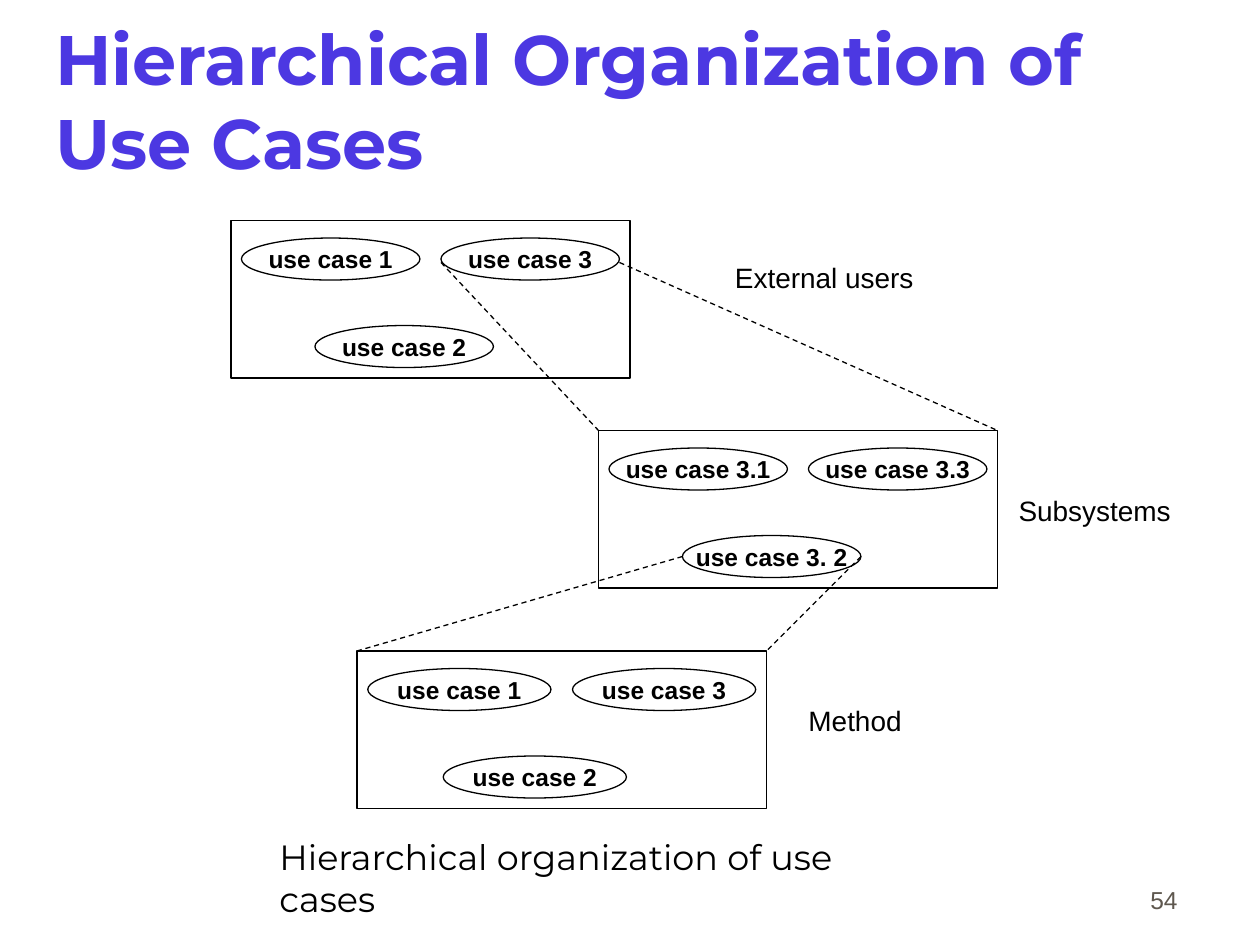
from lxml import etree
from pptx import Presentation
from pptx.dml.color import RGBColor
from pptx.enum.dml import MSO_LINE
from pptx.enum.shapes import MSO_CONNECTOR, MSO_SHAPE
from pptx.enum.text import MSO_ANCHOR, PP_ALIGN
from pptx.oxml.ns import qn
from pptx.util import Pt

RECT, OVAL = MSO_SHAPE.RECTANGLE, MSO_SHAPE.OVAL
STRAIGHT, DASH = MSO_CONNECTOR.STRAIGHT, MSO_LINE.DASH
LEFT, CENTER, RIGHT = PP_ALIGN.LEFT, PP_ALIGN.CENTER, PP_ALIGN.RIGHT
TOP, MIDDLE, BOTTOM = MSO_ANCHOR.TOP, MSO_ANCHOR.MIDDLE, MSO_ANCHOR.BOTTOM

BLACK, VIOLET, GREY = "000000", "4C38E2", "5E574E"
BODY_FONT, HEAD_FONT = "Arial", "Montserrat"
LINE_WIDTH = 0.75

# Ovals in a level box: x offset, y offset, width, height
LEVEL_WIDTH = 228
OVAL_OFFSETS = [(6, 10), (48, 60), (120, 10)]
OVAL_WIDTH, OVAL_HEIGHT = 102, 24


def rgb(value):
    return RGBColor.from_string(value)


def write(holder, text, size, font=BODY_FONT, color=BLACK, bold=False,
          align=LEFT, anchor=TOP, insets=(0, 0), wrap=False):
    frame = holder.text_frame
    frame.word_wrap = wrap
    frame.vertical_anchor = anchor
    frame.margin_left = frame.margin_right = Pt(insets[0])
    frame.margin_top = frame.margin_bottom = Pt(insets[1])
    paragraph = frame.paragraphs[0]
    paragraph.alignment = align
    paragraph.space_before = Pt(0)
    run = paragraph.add_run()
    run.text = text
    run.font.size = Pt(size)
    run.font.name = font
    run.font.bold = bold
    run.font.color.rgb = rgb(color)


def add_title(slide, box, text):
    title = slide.shapes.title
    title.left, title.top, title.width, title.height = map(Pt, box)
    write(title, text, 40, HEAD_FONT, VIOLET, bold=True, anchor=MIDDLE,
          insets=(1.44, 3.6), wrap=True)


def add_label(slide, box, text, size=16, **style):
    write(slide.shapes.add_textbox(*map(Pt, box)), text, size, **style)


def add_outline(group, kind, box):
    outline = group.shapes.add_shape(kind, *map(Pt, box))
    outline.shadow.inherit = False
    outline.fill.background()
    outline.line.color.rgb = rgb(BLACK)
    outline.line.width = Pt(LINE_WIDTH)
    return outline


def add_level(slide, box, use_cases):
    """Draw one level; return its frame and its ovals."""
    left, top, width, _ = box
    stretch = width / LEVEL_WIDTH
    group = slide.shapes.add_group_shape()
    frame = add_outline(group, RECT, box)
    ovals = []
    for (dx, dy), name in zip(OVAL_OFFSETS, use_cases):
        oval = add_outline(group, OVAL, (left + dx * stretch, top + dy,
                                         OVAL_WIDTH * stretch, OVAL_HEIGHT))
        write(oval, name, 14, bold=True, align=CENTER, anchor=MIDDLE)
        ovals.append(oval)
    return frame, ovals


def add_expansion(slide, oval, frame, drop=0):
    """Dashed lines from the sides of a use case to the level that details it."""
    middle = oval.top + oval.height // 2 + Pt(drop)
    for start, end in ((oval.left, frame.left),
                       (oval.left + oval.width, frame.left + frame.width)):
        dashed = slide.shapes.add_connector(STRAIGHT, start, middle, end, frame.top)
        dashed.line.color.rgb = rgb(BLACK)
        dashed.line.width = Pt(LINE_WIDTH)
        dashed.line.dash_style = DASH
        etree.SubElement(dashed._element.spPr, qn("a:effectLst"))


def main():
    prs = Presentation()
    prs.slide_width, prs.slide_height = Pt(720), Pt(540)
    slide = prs.slides.add_slide(prs.slide_layouts[5])

    add_title(slide, (30, 12, 612, 90), "Hierarchical Organization of Use Cases")

    # Levels of the hierarchy
    _, external_ovals = add_level(slide, (132, 126, 228, 90),
                                  ["use case 1", "use case 2", "use case 3"])
    subsystem, subsystem_ovals = add_level(
        slide, (342, 246, 228, 90),
        ["use case 3.1", "use case 3. 2", "use case 3.3"])
    method, _ = add_level(slide, (204, 372, 234, 90),
                          ["use case 1", "use case 2", "use case 3"])

    # Use cases expanded in the next level
    add_expansion(slide, external_ovals[2], subsystem, drop=2)
    add_expansion(slide, subsystem_ovals[1], method)

    # Level names
    add_label(slide, (420, 149, 102, 19.4), "External users")
    add_label(slide, (582, 282, 87, 19.4), "Subsystems")
    add_label(slide, (462, 402, 53.5, 19.4), "Method")

    # Caption and page number
    add_label(slide, (152.6, 474, 370, 31.7),
              "Hierarchical organization of use cases", 20,
              font=HEAD_FONT, insets=(7.2, 3.6), wrap=True)
    add_label(slide, (530, 490.3, 150, 36), "54", 14, color=GREY,
              align=RIGHT, anchor=BOTTOM, insets=(7.2, 3.6), wrap=True)

    prs.save("out.pptx")


if __name__ == "__main__":
    main()
